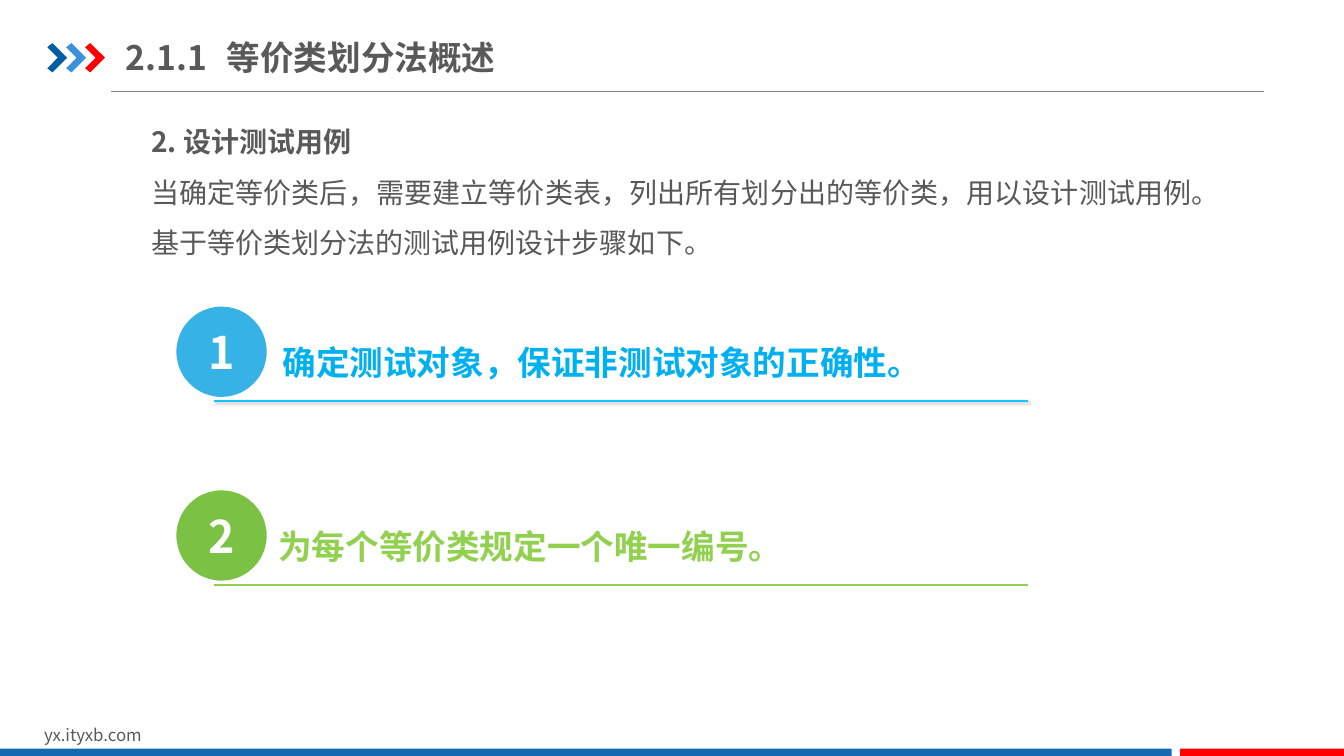
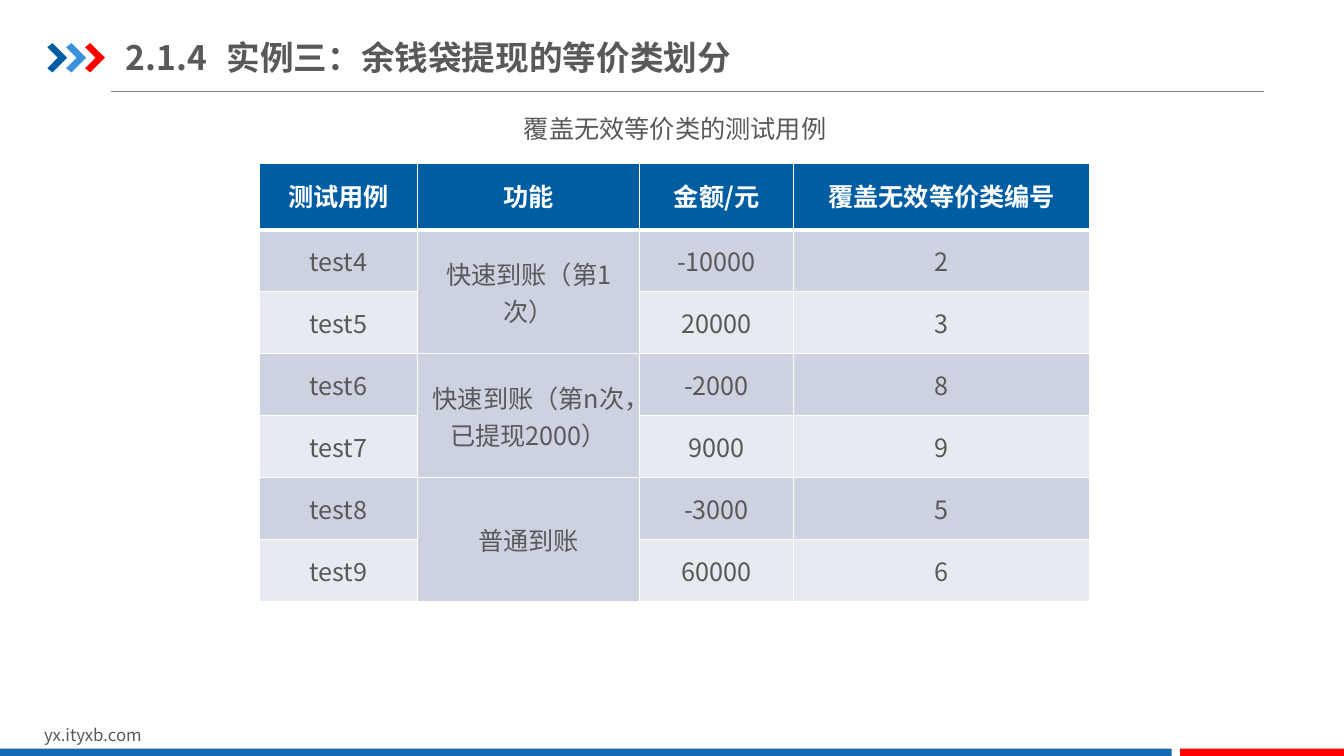
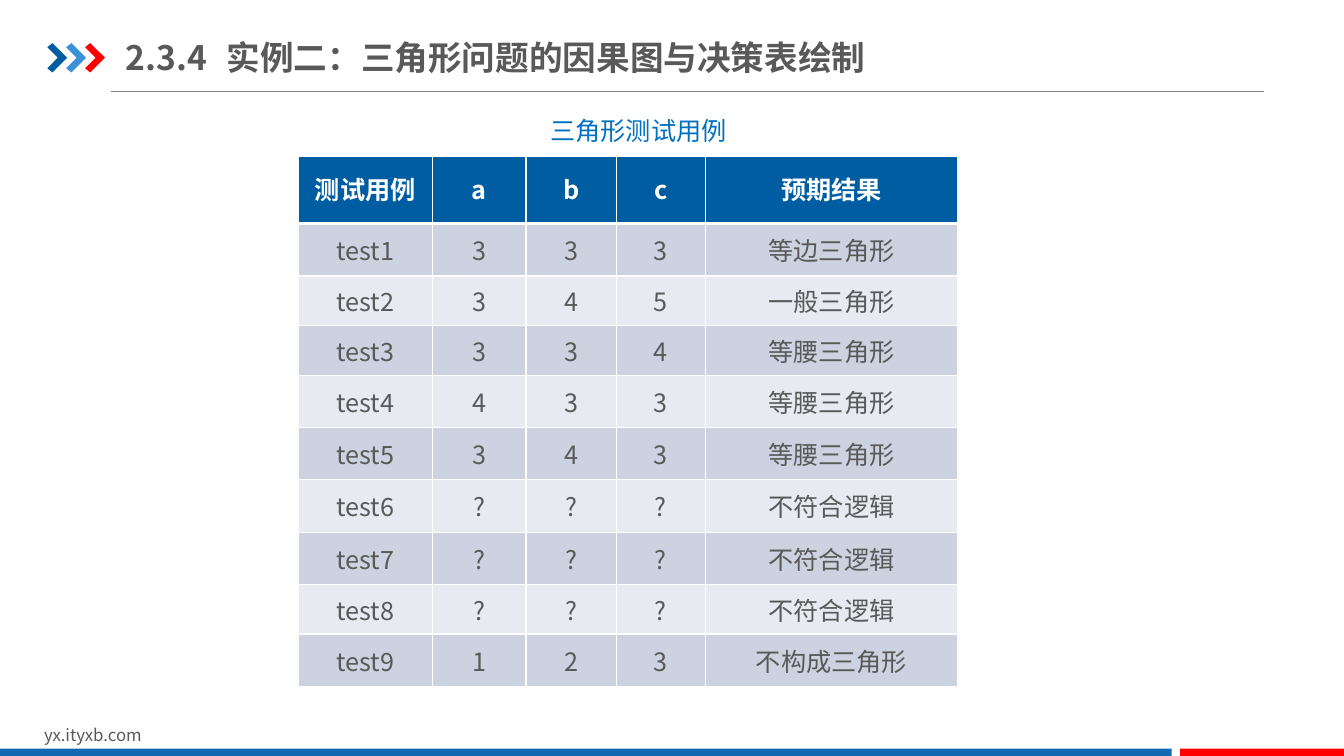
import lxml.etree
import pptx
import pptx.dml.color
import pptx.enum.shapes
import pptx.enum.text
import pptx.oxml.ns
import pptx.util

PX = 9525  # EMU in one px, 96 px to the inch
SANS = "Noto Sans CJK SC"
GREY, WHITE, NAVY, RED = "595959", "FFFFFF", "005DA2", "FF0000"
STRIPES = ["E7EAF0", "CCD2E0"]

hue = pptx.dml.color.RGBColor.from_string
qn = pptx.oxml.ns.qn
SubElement = lxml.etree.SubElement
SHAPE = pptx.enum.shapes.MSO_SHAPE
STRAIGHT = pptx.enum.shapes.MSO_CONNECTOR.STRAIGHT
ALIGN = pptx.enum.text.PP_ALIGN
MIDDLE = pptx.enum.text.MSO_ANCHOR.MIDDLE


def add_box(page, left, top, width, height, inset=(10, 5)):
    """Add a wrapping text box and return its text frame."""
    frame = page.shapes.add_textbox(left * PX, top * PX, width * PX, height * PX).text_frame
    frame.word_wrap = True
    frame.margin_left = frame.margin_right = inset[0] * PX
    frame.margin_top = frame.margin_bottom = inset[1] * PX
    return frame


def write(frame, text, size, color=GREY, bold=False, align=None, spacing=None, font=SANS):
    """Fill the first paragraph if it is empty, otherwise add one."""
    para = frame.add_paragraph() if frame.text else frame.paragraphs[0]
    para.text = text
    para.alignment = align
    para.line_spacing = spacing
    para.font.size = pptx.util.Pt(size)
    para.font.bold = bold
    para.font.name = font
    para.font.color.rgb = hue(color)
    east_asian = SubElement(para.font._element, qn("a:ea"))
    east_asian.set("typeface", SANS)


deck = pptx.Presentation()
deck.slide_width = 1280 * PX
deck.slide_height = 720 * PX

# Shared frame: rule, chevrons, footer, bars and title
titles = [
    "2.1.1\t等价类划分法概述",
    "2.1.4\t实例三：余钱袋提现的等价类划分",
    "2.3.4\t实例二：三角形问题的因果图与决策表绘制",
]
chevron_points = [(5, 0), (19, 14), (5, 28), (0, 24), (10, 14)]
for title in titles:
    page = deck.slides.add_slide(deck.slide_layouts[6])

    rule = page.shapes.add_connector(STRAIGHT, 106 * PX, 87 * PX, 1204 * PX, 87 * PX)
    rule.line.color.rgb = hue("808080")
    rule.line.width = pptx.util.Pt(0.75)
    SubElement(rule.element.spPr, qn("a:effectLst"))

    solids = []
    for index, color in enumerate([NAVY, "3992DB", RED]):
        left = 45 + 18 * index
        outline = page.shapes.build_freeform(left, 41 + 4, scale=PX)
        outline.add_line_segments([(left + x, 41 + y) for x, y in chevron_points])
        solids.append((outline.convert_to_shape(), color))
    for left, width, color in [(0, 1116, "1369B2"), (1124, 156, RED)]:
        bar = page.shapes.add_shape(SHAPE.RECTANGLE, left * PX, 713 * PX, width * PX, 7 * PX)
        solids.append((bar, color))
    for solid, color in solids:
        solid.shadow.inherit = False
        solid.fill.solid()
        solid.fill.fore_color.rgb = hue(color)
        solid.line.fill.background()

    write(add_box(page, 32, 685, 305, 29), "yx.ityxb.com", 12)
    title_frame = add_box(page, 120, 28, 1080, 53, (0, 7))
    title_frame.vertical_anchor = MIDDLE
    write(title_frame, title, 24, bold=True)

overview, withdrawal, triangle = deck.slides

# Overview: introduction and two numbered steps
intro = add_box(overview, 132, 96, 1015, 158, (12, 7))
write(intro, "2. 设计测试用例", 20, bold=True, align=ALIGN.JUSTIFY, spacing=1.5)
write(
    intro,
    "当确定等价类后，需要建立等价类表，列出所有划分出的等价类，用以设计测试用例。"
    "基于等价类划分法的测试用例设计步骤如下。",
    20, align=ALIGN.JUSTIFY, spacing=1.5,
)

steps = [
    ("确定测试对象，保证非测试对象的正确性。", 259, "Times New Roman", "36B2E6", "00B0F0", "19C3FF", 1),
    ("为每个等价类规定一个唯一编号。", 255, SANS, "7BC143", "92D050", "92D050", 1.5),
]
for index, (text, left, font, disc_color, text_color, line_color, weight) in enumerate(steps):
    top = 292 + 175 * index
    disc = overview.shapes.add_shape(SHAPE.FLOWCHART_CONNECTOR, 168 * PX, top * PX, 86 * PX, 86 * PX)
    disc.shadow.inherit = False
    disc.fill.solid()
    disc.fill.fore_color.rgb = hue(disc_color)
    disc.line.fill.background()
    disc.text_frame.vertical_anchor = MIDDLE
    write(disc.text_frame, str(index + 1), 32, WHITE, True, ALIGN.CENTER)

    underline = overview.shapes.add_connector(
        STRAIGHT, 204 * PX, (top + 90) * PX, 979 * PX, (top + 90) * PX)
    underline.line.color.rgb = hue(line_color)
    underline.line.width = pptx.util.Pt(weight)
    effects = SubElement(underline.element.spPr, qn("a:effectLst"))
    if index == 0:
        shadow = SubElement(effects, qn("a:outerShdw"), blurRad="25400", dist="12700", dir="2700000")
        shade = SubElement(shadow, qn("a:srgbClr"), val="000000")
        SubElement(shade, qn("a:alpha"), val="40000")

    write(add_box(overview, left, top + 29, 740, 48), text, 24, text_color, True, font=font)

# Test case tables; an empty cell joins the one above it
write(add_box(withdrawal, 489, 103, 321, 38), "覆盖无效等价类的测试用例", 18)
write(add_box(triangle, 512, 88, 233, 70, (12, 7)), "三角形测试用例", 18, "0070C0",
      align=ALIGN.JUSTIFY, spacing=1.5)

withdrawal_rows = [
    ["测试用例", "功能", "金额/元", "覆盖无效等价类编号"],
    ["test4", "快速到账（第1次）", "-10000", "2"],
    ["test5", "", "20000", "3"],
    ["test6", "快速到账（第n次，已提现2000）", "-2000", "8"],
    ["test7", "", "9000", "9"],
    ["test8", "普通到账", "-3000", "5"],
    ["test9", "", "60000", "6"],
]
triangle_rows = [
    ["测试用例", "a", "b", "c", "预期结果"],
    ["test1", "3", "3", "3", "等边三角形"],
    ["test2", "3", "4", "5", "一般三角形"],
    ["test3", "3", "3", "4", "等腰三角形"],
    ["test4", "4", "3", "3", "等腰三角形"],
    ["test5", "3", "4", "3", "等腰三角形"],
    ["test6", "?", "?", "?", "不符合逻辑"],
    ["test7", "?", "?", "?", "不符合逻辑"],
    ["test8", "?", "?", "?", "不符合逻辑"],
    ["test9", "1", "2", "3", "不构成三角形"],
]
tables = [
    (withdrawal, 247, 156, [151, 211, 147, 282], [63] + [59] * 6, withdrawal_rows),
    (triangle, 284, 149, [128, 89, 86, 85, 240], [64, 50, 47, 48, 49, 50, 50, 50, 47, 50], triangle_rows),
]
for page, left, top, widths, heights, rows in tables:
    table = page.shapes.add_table(
        len(rows), len(widths), left * PX, top * PX, sum(widths) * PX, sum(heights) * PX).table
    for column, width in zip(table.columns, widths):
        column.width = width * PX
    for row, height in zip(table.rows, heights):
        row.height = height * PX

    for r, values in enumerate(rows):
        for c, value in enumerate(values):
            cell = table.cell(r, c)
            cell.vertical_anchor = MIDDLE
            if page is triangle and r and c:
                cell.margin_left = cell.margin_right = 7 * PX
                cell.margin_top = cell.margin_bottom = 0
            for side in "LRTB":
                thick = (r, side) in [(0, "B"), (1, "T")]
                border = SubElement(cell._tc.get_or_add_tcPr(), qn("a:ln" + side),
                                    w=str(pptx.util.Pt(3 if thick else 1)))
                SubElement(SubElement(border, qn("a:solidFill")), qn("a:srgbClr"), val=WHITE)
            cell.fill.solid()
            cell.fill.fore_color.rgb = hue(STRIPES[r % 2] if r else NAVY)
            if not value:
                table.cell(r - 1, c).merge(cell)
            elif r == 0:
                write(cell.text_frame, value, 18, WHITE, True, ALIGN.CENTER, 0.9)
            else:
                write(cell.text_frame, value, 18, align=ALIGN.CENTER)

deck.save("out.pptx")
